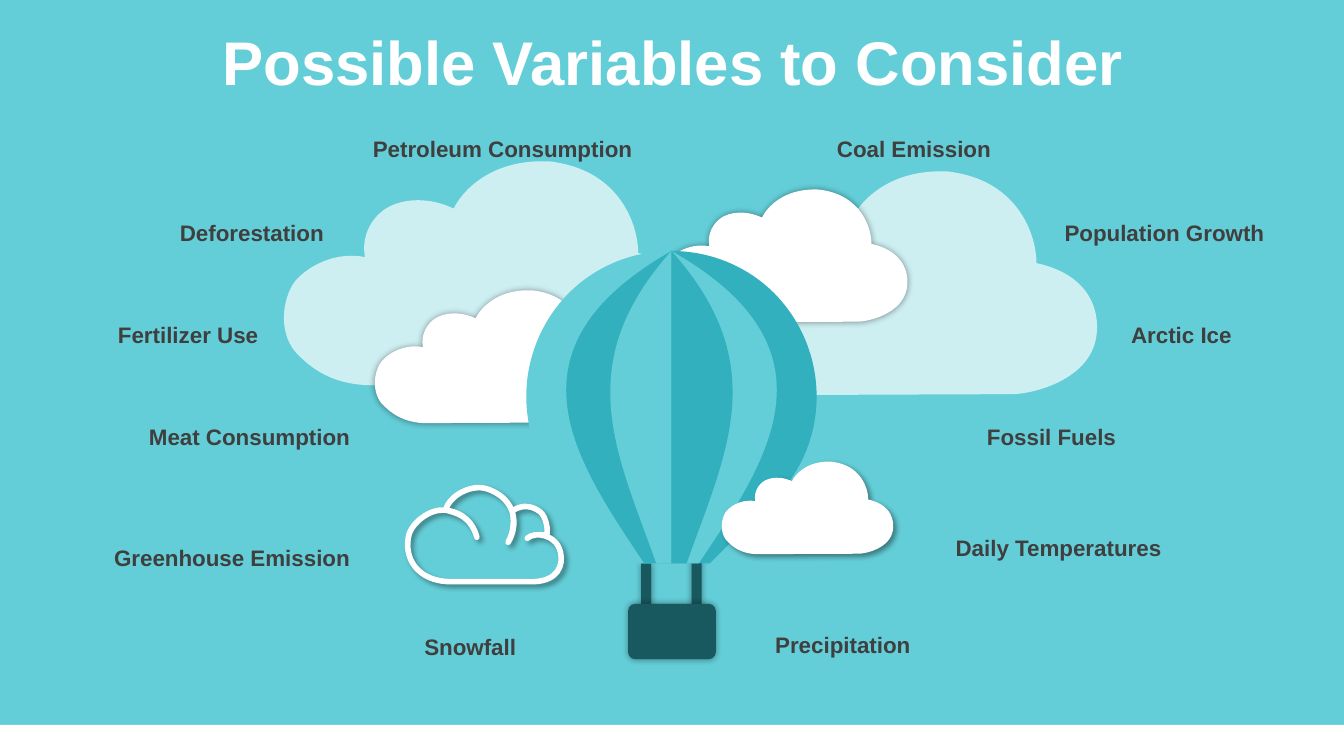
"""Builds a slide of climate variables around a hot-air balloon among clouds."""
from lxml import etree
from pptx import Presentation, util as u
from pptx.dml.color import RGBColor
from pptx.enum import shapes, text
from pptx.oxml import ns, parse_xml

WHITE, SKY, TEAL, DARK, GREY = "FFFFFF", "64CED8", "32B0BE", "18585F", "3F3F3F"
GLOW, DROP = (5, 0, 0), (4, 3, 45)


def paint(shape, color, shadow=None, opacity=100, line_width=0):
    shape.shadow.inherit = False
    if line_width:
        shape.fill.background()
        shape.line.color.rgb = RGBColor.from_string(color)
        shape.line.width = u.Pt(line_width)
    else:
        shape.fill.solid()
        shape.fill.fore_color.rgb = RGBColor.from_string(color)
        shape.line.fill.background()
    if opacity < 100:
        tint = shape.element.spPr.find(".//" + ns.qn("a:srgbClr"))
        tint.append(parse_xml(f'<a:alpha {ns.nsdecls("a")} val="{opacity * 1000}"/>'))
    if shadow:
        blur, distance, angle = shadow
        shape.element.spPr.find(ns.qn("a:effectLst")).append(parse_xml(
            f'<a:outerShdw {ns.nsdecls("a")} blurRad="{u.Pt(blur)}" dist="{u.Pt(distance)}" '
            f'dir="{angle * 60000}" algn="ctr" rotWithShape="0"><a:srgbClr val="000000">'
            '<a:alpha val="40000"/></a:srgbClr></a:outerShdw>'))


def trace(parent, outline, left=0, top=0, x_scale=1, y_scale=1):
    """Draws pairs as straight lines and sextets as Bezier curves."""
    placed = [[(u.Inches(left + x * x_scale), u.Inches(top + y * y_scale))
               for x, y in zip(segment[::2], segment[1::2])] for segment in outline]
    extent = list(placed[0])
    for before, segment in zip(placed, placed[1:]):
        if len(segment) == 3:
            knots = [before[-1], *segment]
            for t in (0.25, 0.5, 0.75):
                weights = (1 - t) ** 3, 3 * t * (1 - t) ** 2, 3 * t * t * (1 - t), t ** 3
                extent.append(tuple(int(sum(w * knot[axis] for w, knot in zip(weights, knots)))
                                    for axis in (0, 1)))
        extent.append(segment[-1])
    builder = parent.build_freeform(*extent[0])
    builder.add_line_segments(extent[1:], close=True)
    figure = builder.convert_to_shape()
    route = figure.element.spPr.find(".//" + ns.qn("a:path"))
    for command in list(route):
        route.remove(command)
    for index, segment in enumerate(placed):
        kind = "a:moveTo" if index == 0 else "a:cubicBezTo" if len(segment) == 3 else "a:lnTo"
        command = etree.SubElement(route, ns.qn(kind))
        for x, y in segment:
            etree.SubElement(command, ns.qn("a:pt"), x=str(x - figure.left), y=str(y - figure.top))
    etree.SubElement(route, ns.qn("a:close"))
    return figure


prs = Presentation()
prs.slide_width, prs.slide_height = u.Inches(13.33), u.Inches(7.5)
slide = prs.slides.add_slide(prs.slide_layouts[6])
slide.background.fill.solid()
slide.background.fill.fore_color.rgb = RGBColor.from_string(SKY)

footer = slide.shapes.add_shape(shapes.MSO_SHAPE.RECTANGLE, 0, u.Inches(7.19),
                                prs.slide_width, u.Inches(0.31))
paint(footer, WHITE)

gondola = slide.shapes.add_group_shape().shapes
for kind, *box in [
    (shapes.MSO_SHAPE.RECTANGLE, 6.36, 5.59, 0.1, 0.55),
    (shapes.MSO_SHAPE.RECTANGLE, 6.86, 5.55, 0.1, 0.55),
    (shapes.MSO_SHAPE.ROUNDED_RECTANGLE, 6.23, 5.99, 0.87, 0.55),
]:
    part = gondola.add_shape(kind, *map(u.Inches, box))
    paint(part, DARK, GLOW)
part.adjustments[0] = 0.13

cloud = [
    (2.58, 0), (2.61, 0, 2.65, 0, 2.69, 0.01), (3.33, 0.11, 3.51, 0.63, 3.51, 0.91),
    (4.1, 1.04, 4.14, 1.46, 4.1, 1.66), (4.02, 2.08, 3.46, 2.21, 3.27, 2.21),
    (0.8, 2.22), (0.49, 2.2, 0.28, 2.08, 0.1, 1.88),
    (-0.06, 1.67, -0.01, 1.38, 0.08, 1.23), (0.14, 1.12, 0.43, 0.88, 0.8, 0.95),
    (0.76, 0.74, 0.87, 0.54, 1.04, 0.45), (1.26, 0.34, 1.52, 0.39, 1.68, 0.47),
    (1.76, 0.3, 2.04, -0.01, 2.58, 0),
]
for left, top, width, shadow, opacity in [
    (2.82, 1.6, 4.11, None, 69), (6.77, 1.7, 4.11, None, 69),
    (3.72, 2.88, 2.44, GLOW, 100), (6.56, 1.88, 2.44, GLOW, 100),
]:
    scale = width / 4.11
    paint(trace(slide.shapes, cloud, left, top, scale, scale), WHITE, shadow, opacity)

line_cloud = [
    (4.47, 5.77), (5.3, 5.77), (5.53, 5.76, 5.59, 5.61, 5.56, 5.48),
    (5.52, 5.3, 5.3, 5.27, 5.23, 5.34), (5.27, 5.3, 5.36, 5.3, 5.42, 5.31),
    (5.44, 5.27, 5.42, 5.13, 5.36, 5.08), (5.3, 5.03, 5.19, 4.99, 5.08, 5.07),
    (5.1, 5.15, 5.1, 5.27, 5.04, 5.38), (5.14, 5.22, 5.13, 4.95, 4.83, 4.85),
    (4.68, 4.8, 4.46, 4.91, 4.42, 5.06), (4.53, 5.09, 4.67, 5.12, 4.73, 5.33),
    (4.7, 5.2, 4.6, 5.08, 4.41, 5.06), (4.26, 5.05, 4.1, 5.18, 4.06, 5.29),
    (3.99, 5.53, 4.14, 5.77, 4.47, 5.77),
]
paint(trace(slide.shapes, line_cloud), WHITE, DROP, line_width=4)

panels = [
    [(0, 0), (0, 3.1), (0.38, 3.1), (1.02, 2.46), (1.58, 1.9, 1.58, 0.99, 1.02, 0.42),
     (0.74, 0.14, 0.37, 0, 0, 0)],
    [(0, 0), (0, 3.1), (0.27, 3.1), (0.95, 2.08, 1.72, 0.98, 0, 0)],
    [(0, 0), (0, 3.1), (0.15, 3.1), (0.54, 2, 1.01, 1.13, 0, 0)],
]
balloon = slide.shapes.add_group_shape().shapes
for side, colors in [(-1, (SKY, TEAL, SKY)), (1, (TEAL, SKY, TEAL))]:
    for panel, color in zip(panels, colors):
        paint(trace(balloon, panel, 6.66, 2.49, side), color)

front_scale = 1.7 / 4.11
paint(trace(slide.shapes, cloud, 7.16, 4.58, front_scale, front_scale), WHITE, DROP)

LEFT, CENTER, RIGHT = text.PP_ALIGN.LEFT, text.PP_ALIGN.CENTER, text.PP_ALIGN.RIGHT
variables = [
    ("Deforestation", 0.44, 2.13, RIGHT),
    ("Fertilizer Use", -0.21, 3.14, RIGHT),
    ("Meat Consumption", 0.7, 4.15, RIGHT),
    ("Greenhouse Emission", 0.7, 5.35, RIGHT),
    ("Population Growth", 10.46, 2.13, LEFT),
    ("Arctic Ice", 11.12, 3.14, LEFT),
    ("Fossil Fuels", 9.69, 4.15, LEFT),
    ("Daily Temperatures", 9.38, 5.25, LEFT),
    ("Precipitation", 7.59, 6.21, LEFT),
    ("Snowfall", 4.11, 6.23, LEFT),
    ("Petroleum Consumption", 3.5, 1.29, RIGHT),
    ("Coal Emission", 7.63, 1.29, CENTER),
]
captions = [("Possible Variables to Consider", 0.35, 0.25, CENTER, 12.66, 0.79, 44, WHITE)]
captions += [(*variable, 2.87, 0.3, 16, GREY) for variable in variables]
for wording, left, top, align, width, height, size, color in captions:
    caption = slide.shapes.add_textbox(*map(u.Inches, (left, top, width, height))).text_frame
    caption.word_wrap = True
    caption.text = wording
    line = caption.paragraphs[0]
    line.alignment = align
    font = line.runs[0].font
    font.name, font.size, font.bold = "Arial", u.Pt(size), True
    font.color.rgb = RGBColor.from_string(color)
    if size == 44:
        caption.vertical_anchor = text.MSO_ANCHOR.MIDDLE
        line.line_spacing = 0.9

prs.save("out.pptx")
